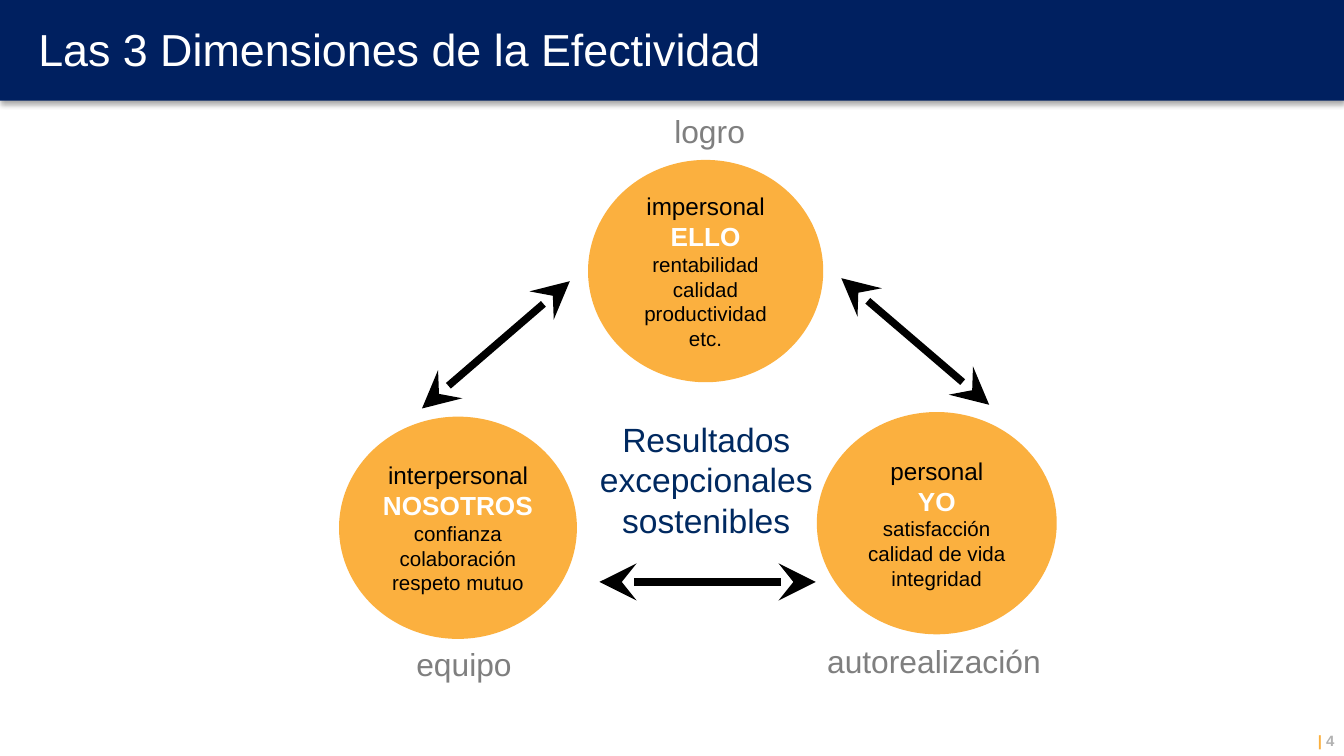
from lxml.etree import SubElement
from pptx import Presentation
from pptx.dml.color import RGBColor
from pptx.enum.shapes import MSO_CONNECTOR, MSO_SHAPE
from pptx.enum.text import MSO_ANCHOR, PP_ALIGN
from pptx.oxml.ns import qn
from pptx.util import Inches, Pt

COLORS = {
    "navy": "002060", "ink": "002960", "orange": "FBB03F", "white": "FFFFFF",
    "black": "000000", "gray": "7F7F7F", "page number": "B2B2B2",
}
WIDTH = Inches(10)
HEIGHT = WIDTH * 9 // 16
TEXT_INSETS = (0.07, 0.04)
LABEL_INSETS = (0.1, 0.05)

DIMENSIONS = [
    ((43.75, 21.16, 17.5, 29.4), "impersonal", "ELLO",
     ["rentabilidad", "calidad\nproductividad", "etc."],
     (44.25, 14.7, 17.1, 5.33), "logro"),
    ((25.23, 55.11, 17.7, 29.4), "interpersonal", "NOSOTROS",
     ["confianza", "colaboración", "respeto mutuo"],
     (26.03, 85.16, 17, 5.33), "equipo"),
    ((60.78, 54.5, 17.85, 29.4), "personal", "YO",
     ["satisfacción", "calidad de vida", "integridad"],
     (56.9, 84.7, 25.2, 5.33), "autorealización"),
]
ARROWS = [
    (44.6, 76.98, 60.7, 76.98),
    (42.4, 37.2, 31.4, 54.04),
    (73.6, 53.55, 62.6, 36.8),
]


def percent(lengths):
    return [int(length * side / 100)
            for length, side in zip(lengths, (WIDTH, HEIGHT) * 2)]


def color(name):
    return RGBColor.from_string(COLORS[name])


def prepare_frame(frame, insets, anchor):
    frame.word_wrap = True
    frame.margin_left = frame.margin_right = Inches(insets[0])
    frame.margin_top = frame.margin_bottom = Inches(insets[1])
    frame.vertical_anchor = anchor


def add_span(para, text, size, color_name, bold=False):
    for index, line in enumerate(text.split("\n")):
        if index:
            para.add_line_break()
        span = para.add_run()
        span.text = line
        span.font.name = "Arial"
        span.font.size = Pt(size)
        span.font.bold = bold
        span.font.color.rgb = color(color_name)


def add_text(page, box, spans, align, insets=TEXT_INSETS, anchor=MSO_ANCHOR.TOP):
    frame = page.shapes.add_textbox(*percent(box)).text_frame
    prepare_frame(frame, insets, anchor)
    para = frame.paragraphs[0]
    para.alignment = align
    for span in spans:
        add_span(para, *span)
    return para


def add_filled(page, kind, box, color_name):
    shape = page.shapes.add_shape(kind, *percent(box))
    shape.shadow.inherit = False
    shape.fill.solid()
    shape.fill.fore_color.rgb = color(color_name)
    shape.line.fill.background()
    return shape


def add_dimension(page, box, kind, name, results, label_box, label):
    circle = add_filled(page, MSO_SHAPE.OVAL, box, "orange")
    frame = circle.text_frame
    prepare_frame(frame, (0, 0), MSO_ANCHOR.MIDDLE)
    lines = [(kind, 13, "black"), (name, 14, "white", True)]
    lines += [(result, 11, "black") for result in results]
    for index, line in enumerate(lines):
        para = frame.add_paragraph() if index else frame.paragraphs[0]
        para.alignment = PP_ALIGN.CENTER
        add_span(para, *line)
    add_text(page, label_box, [(label, 17, "gray")], PP_ALIGN.CENTER,
             LABEL_INSETS, MSO_ANCHOR.MIDDLE)


def add_arrow(page, ends):
    arrow = page.shapes.add_connector(MSO_CONNECTOR.STRAIGHT, *percent(ends))
    arrow.line.color.rgb = color("black")
    arrow.line.width = Pt(4)
    line = arrow.line._get_or_add_ln()
    for end in ("a:headEnd", "a:tailEnd"):
        SubElement(line, qn(end), type="stealth", w="lg", len="lg")
    SubElement(arrow._element.spPr, qn("a:effectLst"))


def add_header(page, box, title_box, title):
    band = add_filled(page, MSO_SHAPE.RECTANGLE, box, "navy")
    effects = band._element.spPr.find(qn("a:effectLst"))
    shadow = SubElement(effects, qn("a:outerShdw"), blurRad=str(Pt(3)),
                        dist=str(Pt(1.8)), dir="5400000", rotWithShape="0")
    tint = SubElement(shadow, qn("a:srgbClr"), val=COLORS["black"])
    SubElement(tint, qn("a:alpha"), val="35000")
    para = add_text(page, title_box, [(title, 24, "white")], PP_ALIGN.LEFT)
    para.line_spacing = 0.9


def main():
    deck = Presentation()
    deck.slide_width, deck.slide_height = WIDTH, HEIGHT
    page = deck.slides.add_slide(deck.slide_layouts[6])
    add_text(page, (76.7, 96.1, 23.3, 3.91),
             [("| ", 8, "orange", True), ("4", 8, "page number", True)],
             PP_ALIGN.RIGHT)
    add_text(page, (40.8, 54.7, 23.5, 20.27),
             [("Resultados excepcionales sostenibles", 18, "ink")],
             PP_ALIGN.CENTER)
    for dimension in DIMENSIONS:
        add_dimension(page, *dimension)
    for ends in ARROWS:
        add_arrow(page, ends)
    add_header(page, (0, -0.18, 100, 13.51), (2.15, 3.02, 89.4, 6.22),
               "Las 3 Dimensiones de la Efectividad")
    deck.save("out.pptx")


if __name__ == "__main__":
    main()
